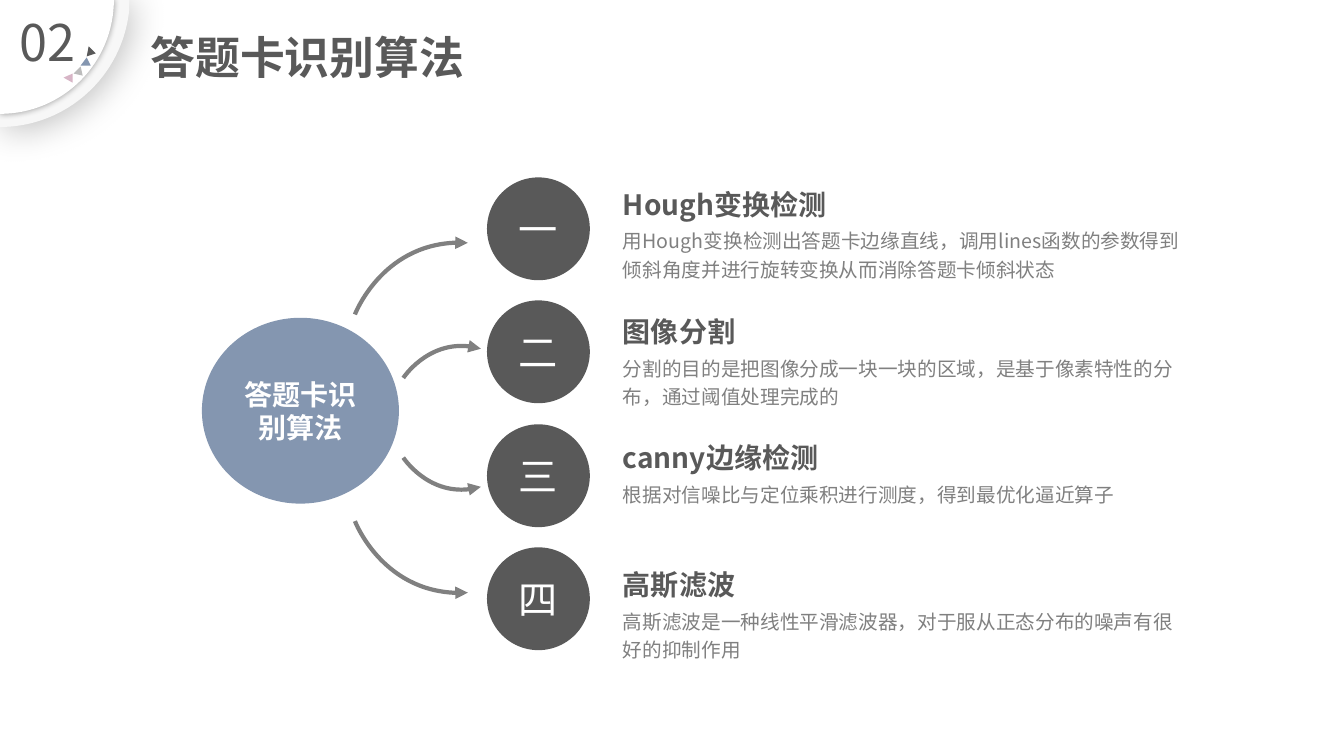
from lxml import etree
from pptx import Presentation
from pptx.dml.color import RGBColor
from pptx.enum.shapes import MSO_SHAPE
from pptx.enum.text import MSO_ANCHOR, PP_ALIGN
from pptx.oxml.ns import qn
from pptx.util import Pt

PX = 9144  # 100 px to the inch
FONT = "Noto Sans CJK SC"
DARK = RGBColor(0x59, 0x59, 0x59)
GRAY = RGBColor(0x80, 0x80, 0x80)
SILVER = RGBColor(0xBC, 0xBC, 0xBC)
PALE = RGBColor(0xF7, 0xF7, 0xF7)
WHITE = RGBColor(0xFF, 0xFF, 0xFF)
BLUE = RGBColor(0x84, 0x96, 0xB0)
PINK = RGBColor(0xD7, 0xB5, 0xC6)
OVAL = MSO_SHAPE.OVAL
LEFT, CENTER = PP_ALIGN.LEFT, PP_ALIGN.CENTER
TOP, MIDDLE, BOTTOM = MSO_ANCHOR.TOP, MSO_ANCHOR.MIDDLE, MSO_ANCHOR.BOTTOM

STEPS = [
    ("一", "Hough变换检测",
     "用Hough变换检测出答题卡边缘直线，调用lines函数的参数得到倾斜角度并进行旋转变换从而消除答题卡倾斜状态"),
    ("二", "图像分割",
     "分割的目的是把图像分成一块一块的区域，是基于像素特性的分布，通过阈值处理完成的"),
    ("三", "canny边缘检测", "根据对信噪比与定位乘积进行测度，得到最优化逼近算子"),
    ("四", "高斯滤波",
     "高斯滤波是一种线性平滑滤波器，对于服从正态分布的噪声有很好的抑制作用"),
]
FLAGS = [
    (DARK, [(95, 53), (86, 56), (88, 46)]),
    (BLUE, [(90, 65), (80, 65), (86, 57)]),
    (SILVER, [(82, 75), (73, 73), (80, 66)]),
    (PINK, [(72, 82), (63, 77), (72, 73)]),
]
ARCS = [
    [(464, 241), (381, 236), (352, 312), (352, 312)],
    [(477, 346), (428, 332), (400, 375), (400, 375)],
]


def emu(*box):
    return [n * PX for n in box]


def write(shape, text, size, color, bold=False, align=LEFT, anchor=TOP,
          wrap=True, space=1.0):
    frame = shape.text_frame
    frame.word_wrap = wrap
    frame.vertical_anchor = anchor
    para = frame.paragraphs[0]
    para.text = text
    para.alignment = align
    para.line_spacing = space
    font = para.font
    font.name, font.size, font.bold = FONT, Pt(size), bold
    font.color.rgb = color
    props = para._p.pPr.find(qn("a:defRPr"))
    etree.SubElement(props, qn("a:ea"), typeface=FONT)


def label(slide, box, text, size, color, **style):
    write(slide.shapes.add_textbox(*emu(*box)), text, size, color, **style)


def disc(slide, box, fill, text, size, **style):
    shape = slide.shapes.add_shape(OVAL, *emu(*box))
    shape.shadow.inherit = False
    shape.fill.solid()
    shape.fill.fore_color.rgb = fill
    shape.line.fill.background()
    write(shape, text, size, WHITE, align=CENTER, anchor=MIDDLE, **style)
    return shape


def outline(slide, points, close=True, curve=True):
    """Draw a path whose last three points form a Bezier if curve is set."""
    pen = slide.shapes.build_freeform(*points[0], scale=PX)
    pen.add_line_segments(points[1:], close=close)
    shape = pen.convert_to_shape()
    shape.shadow.inherit = False
    if curve:
        ends = shape._element.findall(".//" + qn("a:lnTo"))[-3:]
        bend = etree.Element(qn("a:cubicBezTo"))
        ends[0].addprevious(bend)
        for end in ends:
            bend.append(end[0])
            end.getparent().remove(end)
    return shape


def patch(slide, points, color, curve=True):
    shape = outline(slide, points, curve=curve)
    shape.fill.solid()
    shape.fill.fore_color.rgb = color
    shape.line.fill.background()
    return shape


def shade(shape, alpha, blur, dist, angle):
    """Give a shape a soft black shadow; alpha in percent, lengths in points."""
    effects = shape._element.spPr.find(qn("a:effectLst"))
    cast = etree.SubElement(
        effects, qn("a:outerShdw"), blurRad=str(Pt(blur)), dist=str(Pt(dist)),
        dir=str(angle * 60000), algn="tl", rotWithShape="0")
    black = etree.SubElement(cast, qn("a:srgbClr"), val="000000")
    etree.SubElement(black, qn("a:alpha"), val=str(alpha * 1000))


def corner(slide):
    rim = [(0, 0), (128, 0), (128, 11), (121, 76), (66, 126), (0, 126)]
    face = [(0, 0), (113, 0), (113, 62), (63, 113), (0, 113)]
    shade(patch(slide, rim, PALE), 25, 26, 3, 45)
    shade(patch(slide, face, WHITE), 40, 5, 0, 0)
    for color, points in FLAGS:
        patch(slide, points, color, curve=False)
    label(slide, (4, 6, 87, 71), "02", 36, DARK, align=CENTER)


def heading(slide, box):
    title = slide.shapes.title
    title.left, title.top, title.width, title.height = emu(*box)
    write(title, "答题卡识别算法", 32, DARK, bold=True, align=CENTER,
          anchor=BOTTOM)


def arrow(slide, points):
    """Draw a curved arrow with its tip at the first point."""
    shape = outline(slide, points, close=False)
    shape.fill.background()
    shape.line.color.rgb = GRAY
    shape.line.width = Pt(3)
    etree.SubElement(shape.line._get_or_add_ln(), qn("a:headEnd"),
                     type="triangle")


def hub(slide, box):
    shape = disc(slide, box, BLUE, "答题卡识别算法", 20, bold=True)
    shape.line.color.rgb = BLUE
    shape.line.width = Pt(1)
    for arc in ARCS:
        arrow(slide, arc)
        arrow(slide, [(x, 829 - y) for x, y in arc])


def steps(slide, left, top):
    for i, (mark, name, note) in enumerate(STEPS):
        disc(slide, (left, top + round(i * 122.33), 102, 102), DARK, mark, 28,
             wrap=False)
        x, y = left + 125, top + 5 + round(i * 125.67)
        label(slide, (x, y, 585, 44), name, 20, DARK, bold=True)
        label(slide, (x, y + 37, 585, 49), note, 14, GRAY, space=1.2)


def main():
    deck = Presentation()
    deck.slide_width, deck.slide_height = emu(1333, 750)
    slide = deck.slides.add_slide(deck.slide_layouts[5])
    corner(slide)
    heading(slide, (-4, 36, 618, 52))
    hub(slide, (201, 316, 194, 183))
    steps(slide, 483, 176)
    deck.save("out.pptx")


if __name__ == "__main__":
    main()
